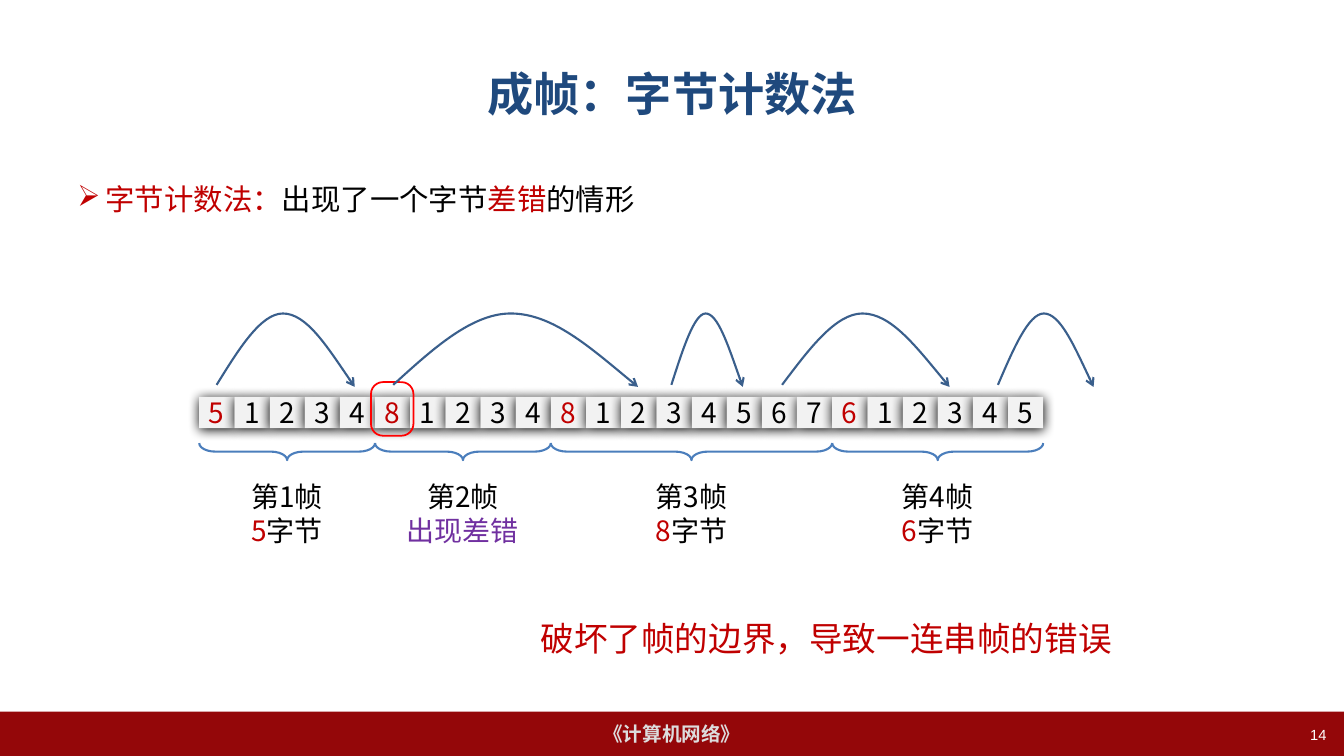
from lxml import etree
from pptx import Presentation
from pptx.dml.color import RGBColor
from pptx.enum.shapes import MSO_SHAPE
from pptx.enum.text import MSO_ANCHOR, MSO_AUTO_SIZE, PP_ALIGN
from pptx.oxml import parse_xml
from pptx.oxml.ns import nsdecls, qn
from pptx.util import Cm, Pt

RECTANGLE, ROUNDED, BRACE = MSO_SHAPE.RECTANGLE, MSO_SHAPE.ROUNDED_RECTANGLE, MSO_SHAPE.LEFT_BRACE
LEFT, CENTER, RIGHT = PP_ALIGN.LEFT, PP_ALIGN.CENTER, PP_ALIGN.RIGHT
TOP, MIDDLE = MSO_ANCHOR.TOP, MSO_ANCHOR.MIDDLE
CJK = "Noto Sans CJK SC"
BLACK, CRIMSON, PURPLE = "000000", "C00000", "7030A0"

PAGE_WIDTH, PAGE_HEIGHT = 33.87, 19.05
ROW_LEFT, ROW_TOP, ROW_WIDTH, CELL_HEIGHT = 5.02, 10.0, 21.27, 0.79
FRAMES = ["51234", "81234", "81234567", "612345"]
CELL_WIDTH = ROW_WIDTH / sum(len(frame) for frame in FRAMES)
BRACE_MIDDLE, BRACE_DEPTH = 11.38, 0.43
JUMPS = [(5.46, 8.94), (9.91, 16.08), (16.92, 18.72), (19.71, 23.93), (25.15, 27.56)]
# Share of the jump's width, and height on the page, of each Bézier point
JUMP_CURVE = [(0, 9.7), (0.16, 8.8), (0.32, 7.9), (0.48, 7.9), (0.65, 7.9), (0.82, 8.84), (1, 9.75)]


def color(value):
    return RGBColor.from_string(value)


class Page:
    def __init__(self, deck):
        self.slide = deck.slides.add_slide(deck.slide_layouts[5])
        self.shapes = self.slide.shapes

    def set_text(self, shape, paragraphs, size=20, font=CJK, bold=False, align=CENTER,
                 anchor=TOP, wrap=True, bullet=None, line=None):
        """Fill a shape with paragraphs, each a list of (text, colour) spans."""
        frame = shape.text_frame
        frame.word_wrap = wrap
        frame.auto_size = MSO_AUTO_SIZE.NONE
        frame.vertical_anchor = anchor
        for index, spans in enumerate(paragraphs):
            para = frame.add_paragraph() if index else frame.paragraphs[0]
            para.alignment = align
            if line:
                para.line_spacing = Pt(line)
            if bullet:
                properties = para._p.get_or_add_pPr()
                properties.set("marL", str(Cm(0.71)))
                properties.set("indent", str(-Cm(0.71)))
                etree.SubElement(properties, qn("a:buChar")).set("char", bullet)
            for text, tint in spans:
                span = para.add_run()
                span.text = text
                span.font.size = Pt(size)
                span.font.bold = bold
                span.font.name = font
                span.font.color.rgb = color(tint)
                etree.SubElement(span._r.get_or_add_rPr(), qn("a:ea")).set("typeface", CJK)
        return shape

    def title(self, text, left, top, width, height, tint, **style):
        box = self.shapes.title
        box.left, box.top, box.width, box.height = Cm(left), Cm(top), Cm(width), Cm(height)
        self.set_text(box, [[(text, tint)]], anchor=MIDDLE, **style)

    def text(self, paragraphs, left, top, width, height, **style):
        box = self.shapes.add_textbox(Cm(left), Cm(top), Cm(width), Cm(height))
        return self.set_text(box, paragraphs, **style)

    def paint(self, shape, fill=None, outline=None, weight=1.5):
        shape.shadow.inherit = False
        if fill:
            shape.fill.solid()
            shape.fill.fore_color.rgb = color(fill)
        else:
            shape.fill.background()
        if outline:
            shape.line.color.rgb = color(outline)
            shape.line.width = Pt(weight)
        else:
            shape.line.fill.background()
        return shape

    def shape(self, kind, left, top, width, height, **look):
        shape = self.shapes.add_shape(kind, Cm(left), Cm(top), Cm(width), Cm(height))
        return self.paint(shape, **look)

    def cell(self, digit, left, tint):
        box = self.shape(RECTANGLE, left, ROW_TOP, CELL_WIDTH, CELL_HEIGHT, fill="F2F2F2")
        box.text_frame.margin_left = box.text_frame.margin_right = Cm(0.05)
        self.set_text(box, [[(digit, tint)]], anchor=MIDDLE, wrap=False)
        effects = box._element.spPr.find(qn("a:effectLst"))
        effects.append(parse_xml(
            f'<a:outerShdw {nsdecls("a")} blurRad="{Pt(8.5)}" dist="{Pt(1)}" dir="5400000" '
            'algn="t" rotWithShape="0"><a:srgbClr val="000000"/></a:outerShdw>'))

    def brace(self, left, span):
        """Draw a brace pointing down under a stretch of cells."""
        brace = self.shape(BRACE, left + (span - BRACE_DEPTH) / 2, BRACE_MIDDLE - span / 2,
                           BRACE_DEPTH, span, outline="4B7EBC")
        brace.adjustments[0] = 0.95
        brace.rotation = 270

    def jump(self, start, end):
        """Draw a curved arrow from one count byte to the next."""
        points = [(Cm(start + share * (end - start)), Cm(y)) for share, y in JUMP_CURVE]
        builder = self.shapes.build_freeform(*points[0])
        builder.add_line_segments(points[1:], close=False)
        arc = self.paint(builder.convert_to_shape(), outline="3A5F8C")
        outline = next(arc._element.iter(qn("a:path")))
        segments = outline.findall(qn("a:lnTo"))
        for first in range(0, len(segments), 3):
            curve = etree.SubElement(outline, qn("a:cubicBezTo"))
            for segment in segments[first:first + 3]:
                curve.append(segment[0])
                outline.remove(segment)
        stroke = arc._element.spPr.find(qn("a:ln"))
        etree.SubElement(stroke, qn("a:tailEnd")).set("type", "arrow")


def main():
    deck = Presentation()
    deck.slide_width, deck.slide_height = Cm(PAGE_WIDTH), Cm(PAGE_HEIGHT)
    page = Page(deck)

    footer = page.shape(RECTANGLE, 0, 17.93, PAGE_WIDTH, 1.12, fill="940709")
    page.set_text(footer, [[("《计算机网络》", "DDDDDD")]], size=14, font="Arial", bold=True,
                  anchor=MIDDLE, wrap=False)
    page.title("成帧：字节计数法", 1.7, 0.76, 30.48, 3.18, "1F497D",
               size=33, font="Arial", bold=True)
    page.text([[("字节计数法：", CRIMSON), ("出现了一个字节", BLACK),
                ("差错", CRIMSON), ("的情形", BLACK)]],
              1.7, 4.45, 30.48, 1.5, size=21, font="Arial", align=LEFT, bullet="➢")

    left = ROW_LEFT
    for number, frame in enumerate(FRAMES, 1):
        for index, digit in enumerate(frame):
            page.cell(digit, left + index * CELL_WIDTH, BLACK if index else CRIMSON)
        span = len(frame) * CELL_WIDTH
        page.brace(left, span)
        broken = number == 2
        detail = [("出现差错", PURPLE)] if broken else [(frame[0], CRIMSON), ("字节", BLACK)]
        width = 4.42 if broken else 2.64
        page.text([[(f"第{number}帧", BLACK)], detail],
                  left + (span - width) / 2, 11.96, width, 1.96, line=24)
        left += span

    error_mark = page.shape(ROUNDED, 9.35, 9.63, 1.07, 1.35, outline="FF0000", weight=1.25)
    error_mark.adjustments[0] = 0.28
    for start, end in JUMPS:
        page.jump(start, end)

    page.text([[("破坏了帧的边界，导致一连串帧的错误", CRIMSON)]], 12.55, 15.44, 16.54, 1.27, size=24)
    page.text([[("14", "FFFFFF")]], 25.78, 18.16, 7.9, 0.89, size=10.5, font="Arial", align=RIGHT)
    deck.save("out.pptx")


if __name__ == "__main__":
    main()
